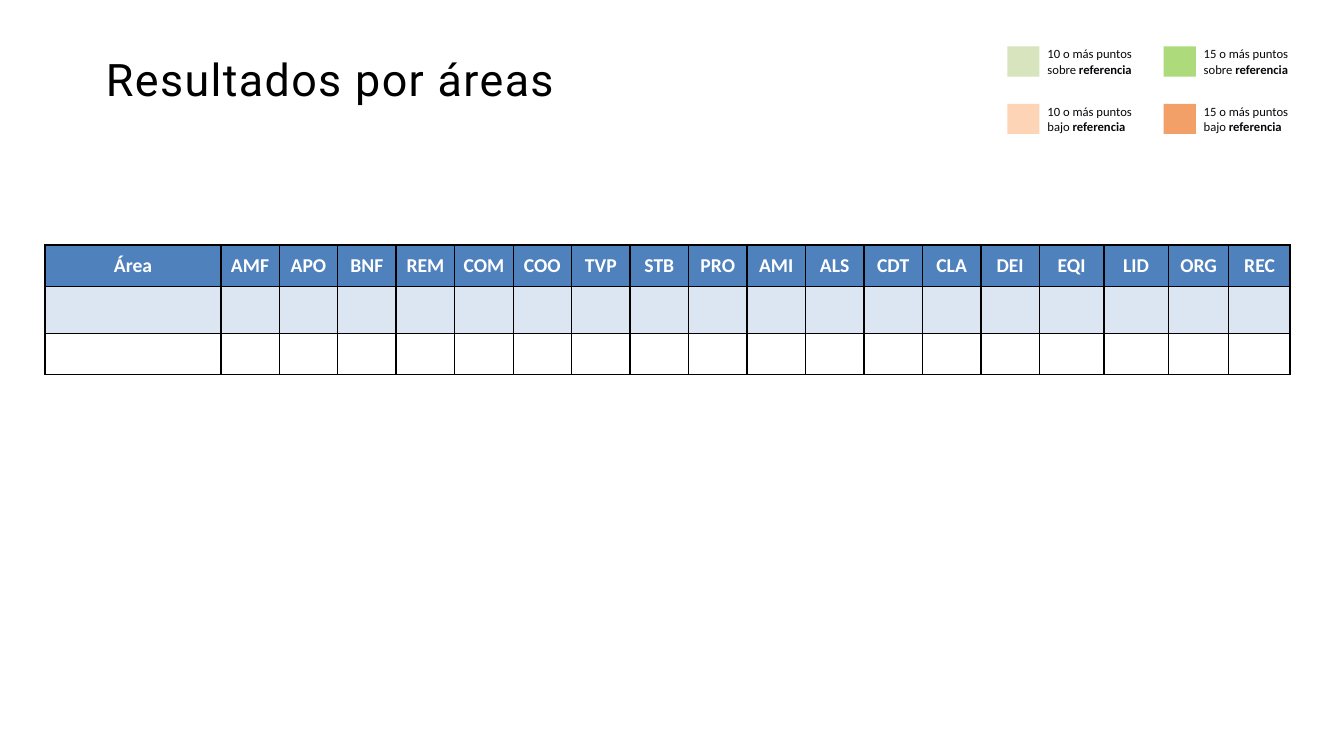
from lxml.etree import SubElement as Sub
from pptx import Presentation
from pptx.dml.color import RGBColor as RGB
from pptx.enum.shapes import MSO_SHAPE as Shape
from pptx.enum.text import MSO_ANCHOR as Anchor, MSO_AUTO_SIZE as Auto, PP_ALIGN as Align
from pptx.oxml.ns import qn
from pptx.util import Inches, Pt

HEADS = ("Área AMF APO BNF REM COM COO TVP STB PRO AMI "
         "ALS CDT CLA DEI EQI LID ORG REC").split()
WIDTHS = [1.74] + [0.58] * 14 + [0.64, 0.64, 0.6, 0.61]
ROWS = [(0.41, "4F81BD"), (0.47, "DCE6F2"), (0.41, "FFFFFF")]
GROUPS = {"Área", "BNF", "AMI", "CLA", "EQI", "REC"}
KEYS = [[("10", "sobre", "D7E4BD"), ("15", "sobre", "ADDB7B")],
        [("10", "bajo", "FDD4B5"), ("15", "bajo", "F2A068")]]


def paint(fill, color):
    fill.solid()
    fill.fore_color.rgb = RGB.from_string(color)


def write(para, text, size=9, font="Calibri", color="07080B", bold=False, space=None):
    run = para.add_run()
    run.text = text
    run.font.size = Pt(size)
    run.font.name = font
    run.font.bold = bold
    run.font.color.rgb = RGB.from_string(color)
    if space:
        run.font._element.set("spc", str(space * 100))


def border(cell, side, width):
    props = cell._tc.get_or_add_tcPr()
    line = Sub(props, qn(f"a:ln{side}"), w=str(Pt(width)))
    fill = Sub(line, qn("a:solidFill"))
    Sub(fill, qn("a:srgbClr"), val="000000")


def add_title(slide, text):
    title = slide.shapes.title
    title.left, title.top = Inches(1.05), Inches(0.41)
    title.width, title.height = Inches(6.41), Inches(0.81)
    frame = title.text_frame
    frame.margin_left = frame.margin_right = frame.margin_top = frame.margin_bottom = 0
    frame.vertical_anchor = Anchor.MIDDLE
    frame.word_wrap = True
    para = frame.paragraphs[0]
    para.alignment = Align.LEFT
    para.line_spacing = 0.9
    write(para, text, size=32, font="Roboto", color="000000", space=1)


def add_key(slide, left, top, points, place, color):
    box = slide.shapes.add_shape(Shape.RECTANGLE, Inches(left), Inches(top),
                                 Inches(0.32), Inches(0.3))
    box.shadow.inherit = False
    paint(box.fill, color)
    box.line.fill.background()
    label = slide.shapes.add_textbox(Inches(left + 0.3), Inches(top - 0.05),
                                     Inches(1.12), Inches(0.4))
    frame = label.text_frame
    frame.word_wrap = True
    frame.auto_size = Auto.SHAPE_TO_FIT_TEXT
    para = frame.paragraphs[0]
    write(para, f"{points} o más puntos {place} ")
    write(para, "referencia", bold=True)


def style(cell, color, left, right):
    cell.margin_left = cell.margin_right = cell.margin_top = cell.margin_bottom = 0
    cell.vertical_anchor = Anchor.MIDDLE
    for side, width in zip("LRTB", (left, right, 1, 1)):
        border(cell, side, width)
    paint(cell.fill, color)


def add_grid(slide):
    frame = slide.shapes.add_table(len(ROWS), len(HEADS), Inches(0.45), Inches(2.43),
                                   Inches(sum(WIDTHS)), Inches(1.29))
    table = frame.table
    table.first_row = table.horz_banding = False
    for col, width in zip(table.columns, WIDTHS):
        col.width = Inches(width)
    for row, (height, color) in zip(table.rows, ROWS):
        row.height = Inches(height)
        left = 1.5
        for cell, head in zip(row.cells, HEADS):
            right = 1.5 if head in GROUPS else 1
            style(cell, color, left, right)
            left = right
    for cell, head in zip(table.rows[0].cells, HEADS):
        para = cell.text_frame.paragraphs[0]
        para.alignment = Align.CENTER
        write(para, head, size=14, color="FFFFFF", bold=True)


def main():
    deck = Presentation()
    deck.slide_width, deck.slide_height = Inches(13.33), Inches(7.5)
    slide = deck.slides.add_slide(deck.slide_layouts[5])
    add_grid(slide)
    add_title(slide, "Resultados por áreas")
    for row, keys in enumerate(KEYS):
        for col, key in enumerate(keys):
            add_key(slide, 9.99 + 1.55 * col, 0.46 + 0.57 * row, *key)
    deck.save("out.pptx")


if __name__ == "__main__":
    main()
